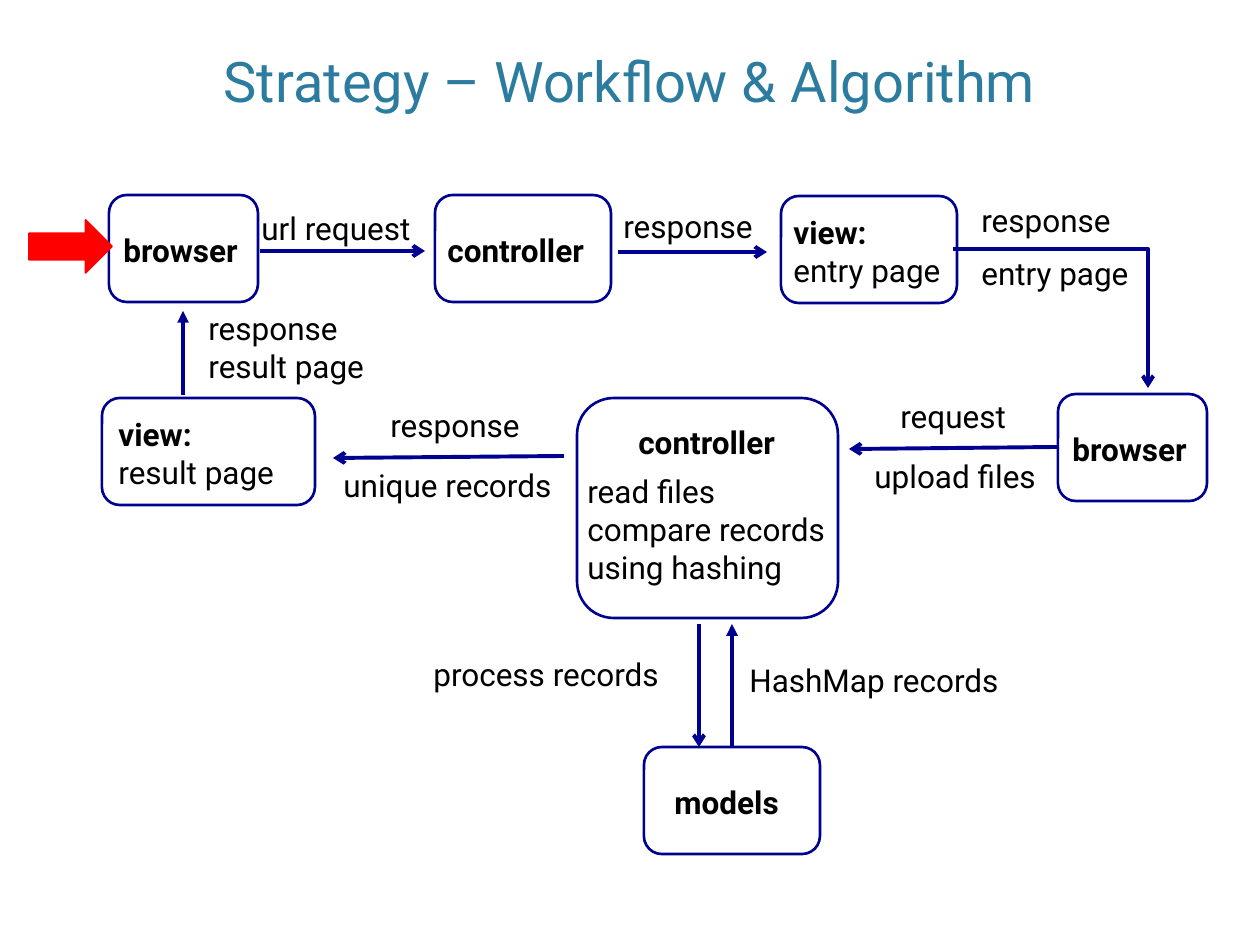
from lxml.etree import SubElement
from pptx import Presentation
from pptx.dml.color import RGBColor
from pptx.enum.shapes import MSO_CONNECTOR, MSO_SHAPE
from pptx.enum.text import MSO_ANCHOR, MSO_AUTO_SIZE, PP_ALIGN
from pptx.oxml.ns import qn
from pptx.util import Emu, Pt

PX = 914400 / 126
LINE_H, PAD_H = 38, 12

NAVY = RGBColor(0x00, 0x00, 0x90)
TEAL = RGBColor(0x2C, 0x7C, 0x9F)
RED = RGBColor(0xFF, 0x00, 0x00)
BLACK = RGBColor(0x00, 0x00, 0x00)

TITLE = "Strategy – Workflow & Algorithm"

# left, top, width, height
BOXES = [
    (109, 195, 149, 107),  # browser, start
    (435, 195, 176, 107),  # controller, first request
    (781, 196, 176, 107),  # view, entry page
    (1058, 394, 149, 107),  # browser, upload
    (577, 398, 261, 220),  # controller, comparison
    (644, 747, 176, 107),  # models
    (102, 398, 213, 107),  # view, result page
]
START_ARROW = (29, 220, 83, 53)

# left, top, width, bold lines, plain lines
TEXTS = [
    (111, 225, 149, ["browser"], []),
    (435, 225, 176, ["controller"], []),
    (781, 207, 188, ["view:"], ["entry page"]),
    (1060, 424, 149, ["browser"], []),
    (626, 417, 176, ["controller"], []),
    (575, 466, 280, [], ["read files", "compare records", "using hashing"]),
    (662, 777, 139, ["models"], []),
    (106, 409, 193, ["view:"], ["result page"]),
    (249, 203, 189, [], ["url request"]),
    (611, 201, 161, [], ["response"]),
    (969, 195, 161, [], ["response"]),
    (969, 248, 187, [], ["entry page"]),
    (888, 391, 139, [], ["request"]),
    (862, 451, 200, [], ["upload files"]),
    (421, 649, 266, [], ["process records"]),
    (737, 655, 290, [], ["HashMap records"]),
    (378, 400, 161, [], ["response"]),
    (331, 460, 251, [], ["unique records"]),
    (196, 303, 161, [], ["response"]),
    (196, 341, 193, [], ["result page"]),
]

# start, end, arrowhead, preset
ARROWS = [
    ((260, 251), (425, 251), "arrow", "line"),
    ((618, 252), (767, 252), "arrow", "line"),
    ((953, 249), (1148, 388), "arrow", "bentConnector2"),
    ((1059, 447), (849, 449), "arrow", "line"),
    ((564, 456), (333, 458), "arrow", "line"),
    ((699, 624), (699, 747), "arrow", "line"),
    ((732, 747), (732, 624), "triangle", "line"),
    ((183, 395), (183, 311), "triangle", "line"),
]


def px(*values):
    return [Emu(round(v * PX)) for v in values]


def add_text(slide, box, lines, size=18, color=BLACK, bold_count=0,
             align=PP_ALIGN.LEFT, anchor=MSO_ANCHOR.TOP, wrap=False):
    """Write one paragraph per line; the first bold_count lines are bold."""
    tf = slide.shapes.add_textbox(*px(*box)).text_frame
    tf.word_wrap = wrap
    tf.auto_size = MSO_AUTO_SIZE.NONE if wrap else MSO_AUTO_SIZE.SHAPE_TO_FIT_TEXT
    tf.vertical_anchor = anchor
    for i, line in enumerate(lines):
        p = tf.add_paragraph() if i else tf.paragraphs[0]
        p.alignment = align
        r = p.add_run()
        r.text = line
        r.font.name = "Roboto"
        r.font.size = Pt(size)
        r.font.bold = i < bold_count
        r.font.color.rgb = color


def add_shape(slide, preset, box, line, width, fill=None):
    sp = slide.shapes.add_shape(preset, *px(*box))
    sp.shadow.inherit = False
    if fill is None:
        sp.fill.background()
    else:
        sp.fill.solid()
        sp.fill.fore_color.rgb = fill
    sp.line.color.rgb = line
    sp.line.width = Pt(width)


def add_arrow(slide, start, end, head, preset):
    cx = slide.shapes.add_connector(MSO_CONNECTOR.STRAIGHT, *px(*start, *end))
    cx.line.color.rgb = NAVY
    cx.line.width = Pt(2.25)
    sp_pr = cx._element.spPr
    sp_pr.find(qn("a:prstGeom")).set("prst", preset)
    SubElement(sp_pr.find(qn("a:ln")), qn("a:tailEnd"), type=head)
    SubElement(sp_pr, qn("a:effectLst"))


def main():
    prs = Presentation()
    prs.slide_width, prs.slide_height = px(1260, 945)
    slide = prs.slides.add_slide(prs.slide_layouts[6])

    add_text(slide, (76, -64, 1108, 184), [TITLE], size=32, color=TEAL,
             align=PP_ALIGN.CENTER, anchor=MSO_ANCHOR.BOTTOM, wrap=True)
    for box in BOXES:
        add_shape(slide, MSO_SHAPE.ROUNDED_RECTANGLE, box, NAVY, 1.5)
    for arrow in ARROWS:
        add_arrow(slide, *arrow)
    for left, top, width, bold, plain in TEXTS:
        lines = bold + plain
        height = PAD_H + LINE_H * len(lines)
        add_text(slide, (left, top, width, height), lines, bold_count=len(bold))
    add_shape(slide, MSO_SHAPE.RIGHT_ARROW, START_ARROW, RED, 1, fill=RED)

    prs.save("out.pptx")


if __name__ == "__main__":
    main()
